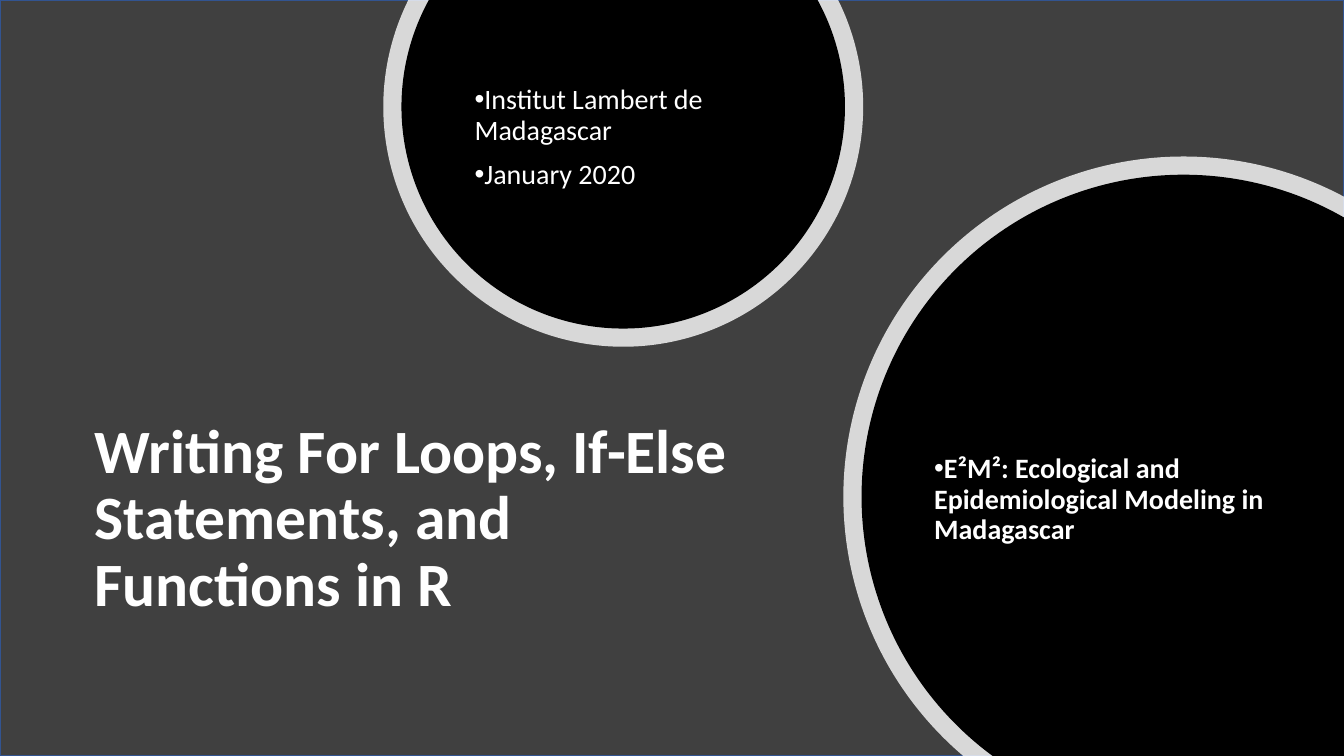
from math import acos, asin, cos, degrees, radians, sin

from lxml.etree import SubElement
from pptx import Presentation
from pptx.dml.color import RGBColor
from pptx.enum.shapes import MSO_SHAPE
from pptx.enum.text import MSO_ANCHOR
from pptx.oxml.ns import qn
from pptx.util import Pt

W, H = 960, 540
UNITS = 100


def rgb(value):
    return RGBColor.from_string(value)


prs = Presentation()
prs.slide_width, prs.slide_height = Pt(W), Pt(H)
s = prs.slides.add_slide(prs.slide_layouts[6])
s.background.fill.solid()
s.background.fill.fore_color.rgb = rgb("000000")

sp = s.shapes.add_shape(MSO_SHAPE.RECTANGLE, 0, 0, Pt(W), Pt(H))
sp.shadow.inherit = False
sp.fill.solid()
sp.fill.fore_color.rgb = rgb("404040")
sp.line.color.rgb = rgb("325491")
sp.line.width = Pt(1)

top_x, top_y = 445.2, 76.3
right_x, right_y = 845.4, 354.8
circles = []
for top_r, right_r, color, opacity in [
    (171.4, 243, "FFFFFF", 80),
    (158.4, 230, "000000", 100),
]:
    cut = degrees(asin(top_y / top_r))
    circles.append((top_x, top_y, top_r, [-cut, 0, 90, 180, 180 + cut], [], color, opacity))
    side = degrees(acos((W - right_x) / right_r))
    base = degrees(asin((H - right_y) / right_r))
    circles.append((right_x, right_y, right_r, [-side, -90, -180, -180 - base],
                    [(W, H)], color, opacity))

for cx, cy, radius, angles, corners, color, opacity in circles:
    points = [(cx + radius * cos(radians(a)), cy + radius * sin(radians(a))) for a in angles]
    points = [(UNITS * x, UNITS * y) for x, y in points + corners]
    builder = s.shapes.build_freeform(*points[0], scale=Pt(1) / UNITS)
    builder.add_line_segments(points[1:], close=True)
    sp = builder.convert_to_shape()
    segments = list(sp._element.iter(qn("a:lnTo")))
    for segment, start, end in zip(segments, angles, angles[1:]):
        arc = segment.makeelement(qn("a:arcTo"), {
            "wR": str(round(radius * UNITS)),
            "hR": str(round(radius * UNITS)),
            "stAng": str(round(start % 360 * 60000)),
            "swAng": str(round((end - start) * 60000)),
        })
        segment.getparent().replace(segment, arc)
    sp.shadow.inherit = False
    sp.fill.solid()
    sp.fill.fore_color.rgb = rgb(color)
    sp.line.fill.background()
    if opacity < 100:
        clr = sp.fill._xPr.find(qn("a:solidFill"))[0]
        SubElement(clr, qn("a:alpha"), val=str(opacity * 1000))

texts = [
    (60.5, 275.8, 476.6, 190.8, 44, True, False,
     ["Writing For Loops, If-Else Statements, and Functions in R"]),
    (331.9, 28.1, 226.8, 141.1, 20, False, True,
     ["Institut Lambert de Madagascar", "January 2020"]),
    (660.2, 247.7, 273.6, 218.9, 20, True, True,
     ["E²M²: Ecological and Epidemiological Modeling in Madagascar"]),
]
for x, y, w, h, size, bold, bullet, lines in texts:
    tf = s.shapes.add_textbox(Pt(x), Pt(y), Pt(w), Pt(h)).text_frame
    tf.word_wrap = True
    tf.vertical_anchor = MSO_ANCHOR.MIDDLE
    for i, line in enumerate(lines):
        p = tf.add_paragraph() if i else tf.paragraphs[0]
        p.line_spacing = 0.9
        if bullet:
            p.space_before = Pt(10)
            pPr = p._p.get_or_add_pPr()
            pPr.set("marL", "0")
            pPr.set("indent", str(-Pt(18)))
            SubElement(pPr, qn("a:buFont"), typeface="Arial")
            SubElement(pPr, qn("a:buChar"), char="•")
        r = p.add_run()
        r.text = line
        r.font.name = "Calibri"
        r.font.size = Pt(size)
        r.font.bold = bold
        r.font.color.rgb = rgb("FFFFFF")

prs.save("out.pptx")
